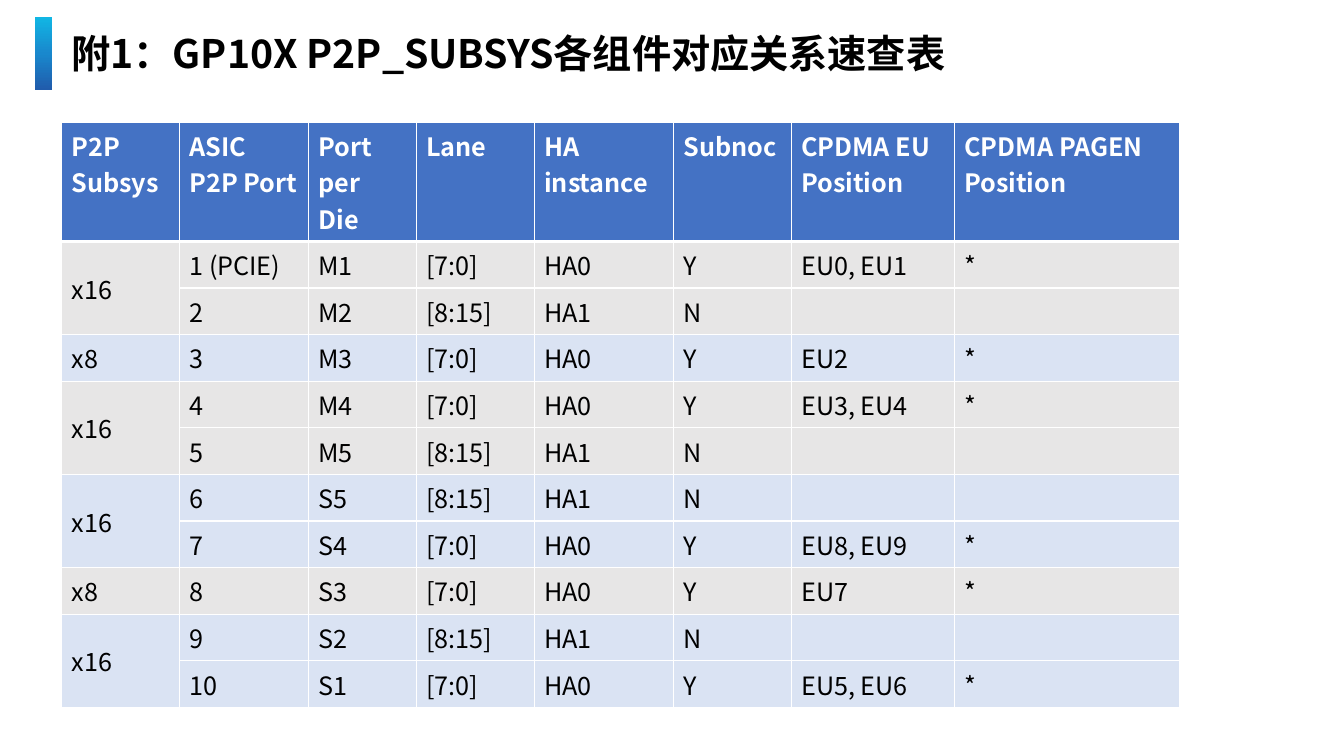
from copy import deepcopy

from lxml.etree import SubElement
from pptx import Presentation
from pptx.dml.color import RGBColor
from pptx.enum.shapes import MSO_SHAPE
from pptx.enum.text import MSO_ANCHOR, MSO_AUTO_SIZE, PP_ALIGN
from pptx.oxml.ns import qn
from pptx.util import Pt

FONT = "Noto Sans CJK SC"
BLACK = RGBColor(0x00, 0x00, 0x00)
WHITE = RGBColor(0xFF, 0xFF, 0xFF)
HEADER_BLUE = RGBColor(0x44, 0x72, 0xC4)
BAND_GREY = RGBColor(0xE7, 0xE6, 0xE6)
BAND_BLUE = RGBColor(0xDA, 0xE3, 0xF3)
BAR_STOPS = [
    (0, RGBColor(0x11, 0xB6, 0xE4)),
    (0.5, RGBColor(0x19, 0x88, 0xCD)),
    (1, RGBColor(0x20, 0x5C, 0xAC)),
]

TITLE = "附1：GP10X P2P_SUBSYS各组件对应关系速查表"
HEADERS = ["P2P Subsys", "ASIC P2P Port", "Port per Die", "Lane", "HA instance",
           "Subnoc", "CPDMA EU Position", "CPDMA PAGEN Position"]
COL_WIDTHS = [84.24, 92.16, 77.04, 84.24, 99.36, 84.24, 116.64, 160.56]
HEADER_HEIGHT, ROW_HEIGHT = 52.56, 30.24

# Subsystem width, then (ASIC port, die port, EU position) for each of its ports
SUBSYSTEMS = [
    ("x16", [("1 (PCIE)", "M1", "EU0, EU1"), ("2", "M2", "")]),
    ("x8", [("3", "M3", "EU2")]),
    ("x16", [("4", "M4", "EU3, EU4"), ("5", "M5", "")]),
    ("x16", [("6", "S5", ""), ("7", "S4", "EU8, EU9")]),
    ("x8", [("8", "S3", "EU7")]),
    ("x16", [("9", "S2", ""), ("10", "S1", "EU5, EU6")]),
]


def add_run(p, text, size, color, bold=False):
    r = p.add_run()
    r.text = text
    r.font.size = Pt(size)
    r.font.bold = bold
    r.font.color.rgb = color
    r.font.name = FONT
    SubElement(r.font._element, qn("a:ea"), typeface=FONT)


def set_title(s, text):
    sp = s.shapes.title
    sp.left, sp.top, sp.width, sp.height = Pt(43.92), Pt(23.04), Pt(655.2), Pt(33.84)
    tf = sp.text_frame
    tf.word_wrap = True
    tf.auto_size = MSO_AUTO_SIZE.NONE
    tf.vertical_anchor = MSO_ANCHOR.MIDDLE
    p = tf.paragraphs[0]
    p.alignment = PP_ALIGN.LEFT
    p.line_spacing = 0.9
    add_run(p, text, 28, BLACK, bold=True)


def add_accent_bar(s):
    sp = s.shapes.add_shape(MSO_SHAPE.RECTANGLE, Pt(25.2), Pt(12.24), Pt(12.24), Pt(51.84))
    sp.shadow.inherit = False
    sp.line.fill.background()
    sp.fill.gradient()
    sp.fill.gradient_angle = 270
    # A new gradient has two stops; the bar needs three
    stop_list = sp._element.spPr.find(".//" + qn("a:gsLst"))
    stop_list.append(deepcopy(stop_list[-1]))
    for stop, (position, color) in zip(sp.fill.gradient_stops, BAR_STOPS):
        stop.position = position
        stop.color.rgb = color


def set_borders(cell, top=1, bottom=1):
    tcPr = cell._tc.get_or_add_tcPr()
    for side, width in (("L", 1), ("R", 1), ("T", top), ("B", bottom)):
        ln = SubElement(tcPr, qn(f"a:ln{side}"), w=str(Pt(width)))
        SubElement(SubElement(ln, qn("a:solidFill")), qn("a:srgbClr"), val=str(WHITE))


def fill_cell(cell, text, fill, color=BLACK, bold=False, **borders):
    set_borders(cell, **borders)
    cell.fill.solid()
    cell.fill.fore_color.rgb = fill
    if text:
        add_run(cell.text_frame.paragraphs[0], text, 18, color, bold)


def port_values(port, die_port, eu):
    # Only the ports on HA0 carry the Subnoc, an EU and a PAGEN
    shared = ["[7:0]", "HA0", "Y", eu, "*"] if eu else ["[8:15]", "HA1", "N", "", ""]
    return [port, die_port] + shared


def add_port_table(s):
    row_count = 1 + sum(len(ports) for _, ports in SUBSYSTEMS)
    height = HEADER_HEIGHT + ROW_HEIGHT * (row_count - 1)
    table = s.shapes.add_table(row_count, len(HEADERS), Pt(43.92), Pt(87.12),
                               Pt(sum(COL_WIDTHS)), Pt(height)).table
    table.horz_banding = False
    for column, width in zip(table.columns, COL_WIDTHS):
        column.width = Pt(width)
    for i, row in enumerate(table.rows):
        row.height = Pt(ROW_HEIGHT if i else HEADER_HEIGHT)

    # Header row
    for col, text in enumerate(HEADERS):
        fill_cell(table.cell(0, col), text, HEADER_BLUE, WHITE, bold=True, bottom=3)

    # Subsystems in alternating bands, one row for each port
    row = 1
    for i, (width, ports) in enumerate(SUBSYSTEMS):
        first = table.cell(row, 0)
        if len(ports) > 1:
            first.merge(table.cell(row + len(ports) - 1, 0))
        for j, port in enumerate(ports):
            values = ["" if j else width] + port_values(*port)
            for col, text in enumerate(values):
                fill_cell(table.cell(row, col), text, BAND_BLUE if i % 2 else BAND_GREY,
                          top=3 if row == 1 else 1)
            row += 1
        first.vertical_anchor = MSO_ANCHOR.MIDDLE


def main():
    prs = Presentation()
    prs.slide_width, prs.slide_height = Pt(960), Pt(540)
    s = prs.slides.add_slide(prs.slide_layouts[5])
    add_accent_bar(s)
    set_title(s, TITLE)
    add_port_table(s)
    prs.save("out.pptx")


if __name__ == "__main__":
    main()
